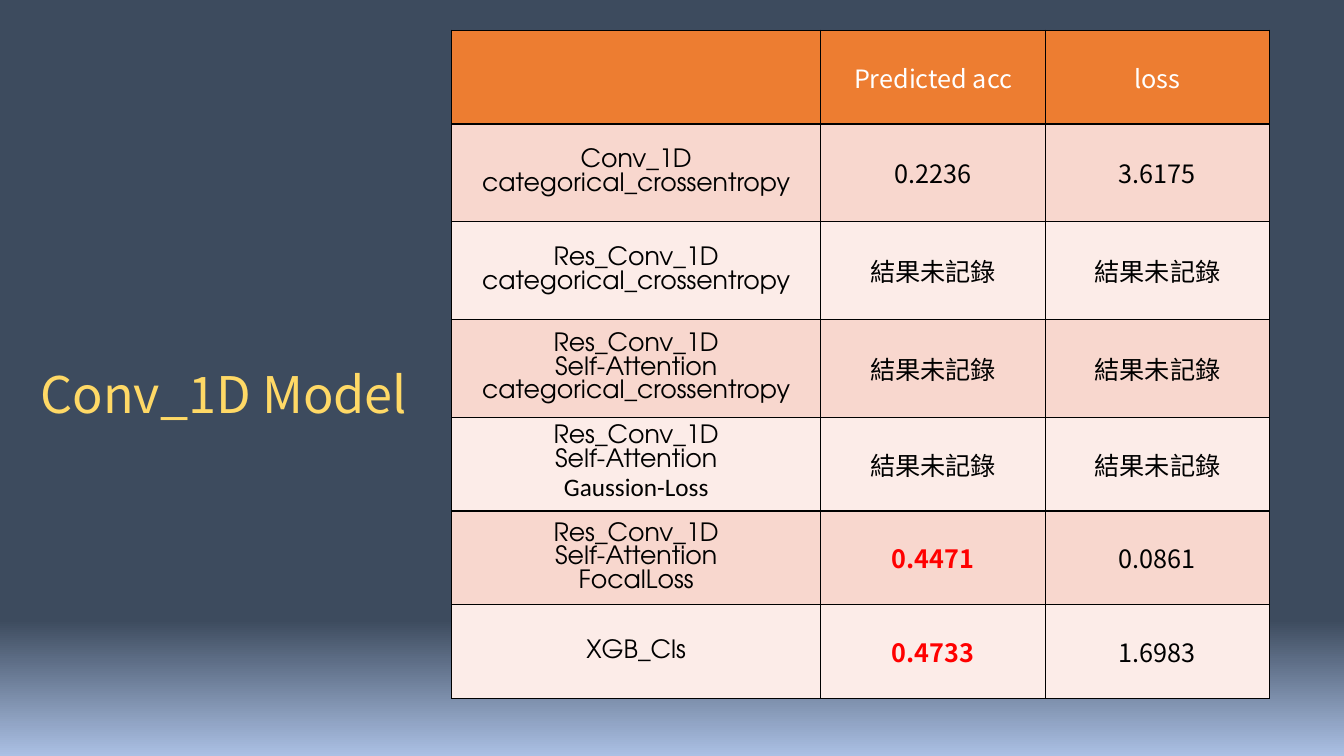
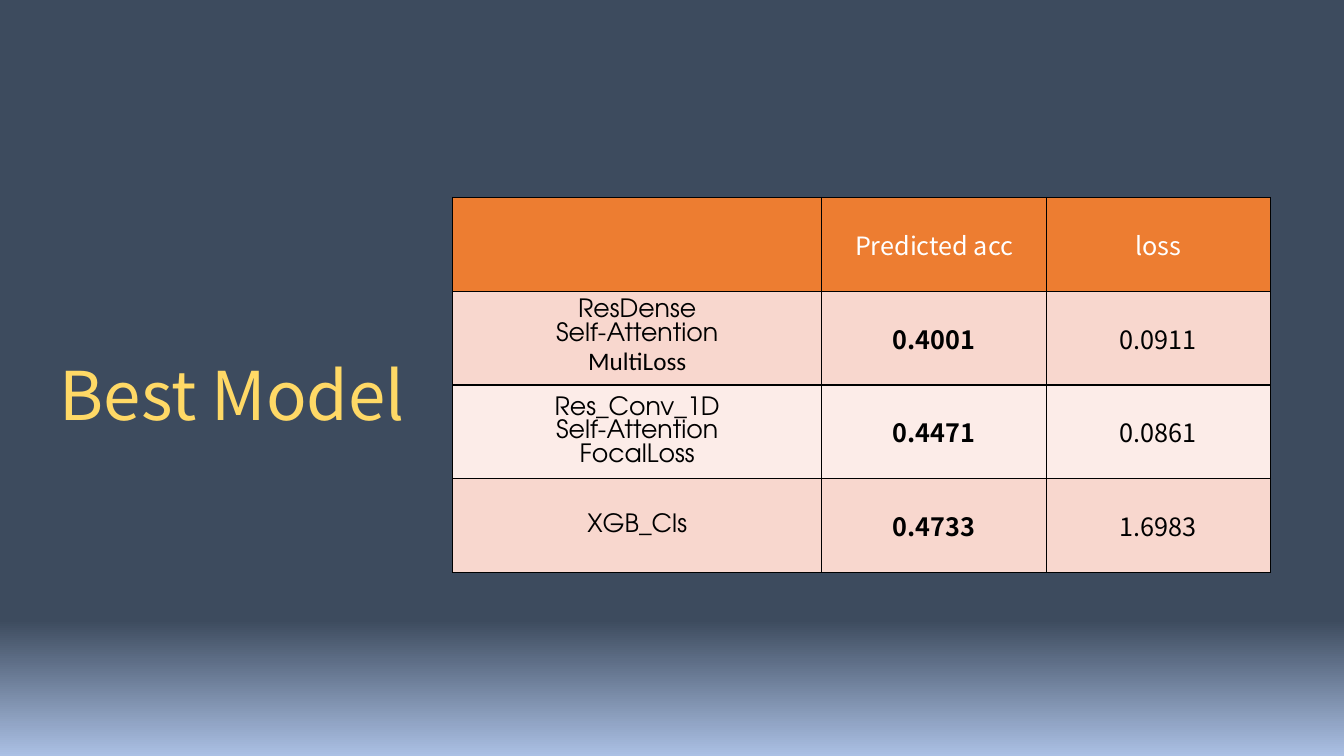
from lxml.etree import SubElement
from pptx import Presentation
from pptx.dml.color import RGBColor
from pptx.enum.text import MSO_ANCHOR, MSO_AUTO_SIZE, PP_ALIGN
from pptx.oxml.ns import qn
from pptx.util import Inches, Pt

COLORS = {
    "background": "3D4B5E",
    "glow": "ABC0E4",
    "title": "FFD966",
    "header": "ED7D31",
    "band_dark": "F8D7CE",
    "band_light": "FCECE8",
    "white": "FFFFFF",
    "black": "000000",
    "red": "FF0000",
}
TITLE_FONT = "Noto Sans CJK TC"
VALUE_FONT = "Noto Sans CJK SC"
MODEL_FONT = "TeX Gyre Adventor"
PLAIN_FONT = "Calibri"

COLUMN_WIDTHS = (3.66, 2.23, 2.22)
HEADER = ("Predicted acc", "loss")
BEST_ACCURACIES = {"0.4001", "0.4471", "0.4733"}
PLAIN_LINES = {"Gaussion-Loss", "MultiLoss"}
NOT_RECORDED = "結果未記錄"

# Each row: paragraphs of the model name (split into lines), accuracy, loss
FOCAL_ROW = (["Res_Conv_1D", "Self-Attention\nFocalLoss"], "0.4471", "0.0861")
XGB_ROW = (["XGB_Cls"], "0.4733", "1.6983")
CONV_ROWS = [
    (["Conv_1D\ncategorical_crossentropy"], "0.2236", "3.6175"),
    (["Res_Conv_1D\ncategorical_crossentropy"], NOT_RECORDED, NOT_RECORDED),
    (["Res_Conv_1D", "Self-Attention\ncategorical_crossentropy"], NOT_RECORDED, NOT_RECORDED),
    (["Res_Conv_1D", "Self-Attention\nGaussion-Loss"], NOT_RECORDED, NOT_RECORDED),
    FOCAL_ROW,
    XGB_ROW,
]
BEST_ROWS = [
    (["ResDense", "Self-Attention", "MultiLoss"], "0.4001", "0.0911"),
    FOCAL_ROW,
    XGB_ROW,
]


def color(name):
    return RGBColor.from_string(COLORS[name])


def set_background(master):
    """Dark backdrop that fades to a light glow at the bottom."""
    fill = master.background.fill
    fill.gradient()
    fill.gradient_angle = 270
    stops = zip(fill.gradient_stops, ((0.82, "background"), (1, "glow")))
    for stop, (position, name) in stops:
        stop.position = position
        stop.color.rgb = color(name)


def add_run(paragraph, text, font_name, size, color_name, bold=False):
    run = paragraph.add_run()
    run.text = text
    font = run.font
    font.name, font.size, font.bold = font_name, Pt(size), bold
    font.color.rgb = color(color_name)
    # East Asian characters use the same typeface
    properties = run._r.get_or_add_rPr()
    east_asian = SubElement(properties, qn("a:ea"), typeface=font_name)
    properties.find(qn("a:latin")).addnext(east_asian)


def add_title(slide, text, size, left, top, width):
    title = slide.shapes.title
    title.left, title.top = Inches(left), Inches(top)
    title.width, title.height = Inches(width), Inches(1.31)
    frame = title.text_frame
    frame.word_wrap = True
    frame.auto_size = MSO_AUTO_SIZE.NONE
    frame.vertical_anchor = MSO_ANCHOR.MIDDLE
    paragraph = frame.paragraphs[0]
    paragraph.alignment = PP_ALIGN.CENTER
    paragraph.line_spacing = 0.9
    add_run(paragraph, text, TITLE_FONT, size, "title")


def style_cell(cell, fill_name):
    """Middle-anchored cell with a solid fill and thin black borders."""
    cell.vertical_anchor = MSO_ANCHOR.MIDDLE
    properties = cell._tc.get_or_add_tcPr()
    for side in ("lnL", "lnR", "lnT", "lnB"):
        border = SubElement(properties, qn(f"a:{side}"), w=str(Pt(1)))
        border_fill = SubElement(border, qn("a:solidFill"))
        SubElement(border_fill, qn("a:srgbClr"), val=COLORS["black"])
    cell.fill.solid()
    cell.fill.fore_color.rgb = color(fill_name)


def write_value(cell, text, color_name="black", bold=False):
    paragraph = cell.text_frame.paragraphs[0]
    paragraph.alignment = PP_ALIGN.CENTER
    add_run(paragraph, text, VALUE_FONT, 18, color_name, bold)


def write_model(cell, paragraphs):
    frame = cell.text_frame
    for index, text in enumerate(paragraphs):
        paragraph = frame.add_paragraph() if index else frame.paragraphs[0]
        paragraph.alignment = PP_ALIGN.CENTER
        for line_number, line in enumerate(text.split("\n")):
            if line_number:
                paragraph.add_line_break()
            font_name = PLAIN_FONT if line in PLAIN_LINES else MODEL_FONT
            add_run(paragraph, line, font_name, 18, "black")


def add_results_table(slide, left, top, row_heights, rows, best_color):
    frame = slide.shapes.add_table(
        len(row_heights), len(COLUMN_WIDTHS), Inches(left), Inches(top),
        Inches(sum(COLUMN_WIDTHS)), Inches(sum(row_heights)))
    table = frame.table
    for column, width in zip(table.columns, COLUMN_WIDTHS):
        column.width = Inches(width)

    # Row heights and banded fills
    for index, (row, height) in enumerate(zip(table.rows, row_heights)):
        row.height = Inches(height)
        band = "band_dark" if index % 2 else "band_light"
        for cell in row.cells:
            style_cell(cell, band if index else "header")

    # Header and results
    for column, text in enumerate(HEADER, start=1):
        write_value(table.cell(0, column), text, "white")
    for index, (model, accuracy, loss) in enumerate(rows, start=1):
        best = accuracy in BEST_ACCURACIES
        write_model(table.cell(index, 0), model)
        write_value(table.cell(index, 1), accuracy, best_color if best else "black", best)
        write_value(table.cell(index, 2), loss)


def main():
    presentation = Presentation()
    presentation.slide_width = Inches(13.33)
    presentation.slide_height = Inches(7.5)
    set_background(presentation.slide_master)
    title_only = presentation.slide_layouts[5]

    # Convolution models
    slide = presentation.slides.add_slide(title_only)
    add_title(slide, "Conv_1D Model", 36, -0.41, 3.29, 5.26)
    heights = [0.93] + [0.97] * 3 + [0.93] * 3
    add_results_table(slide, 4.48, 0.3, heights, CONV_ROWS, "red")

    # Best models
    slide = presentation.slides.add_slide(title_only)
    add_title(slide, "Best Model", 48, 0, 3.3, 4.61)
    add_results_table(slide, 4.49, 1.96, [0.93] * 4, BEST_ROWS, "black")

    presentation.save("out.pptx")


if __name__ == "__main__":
    main()
